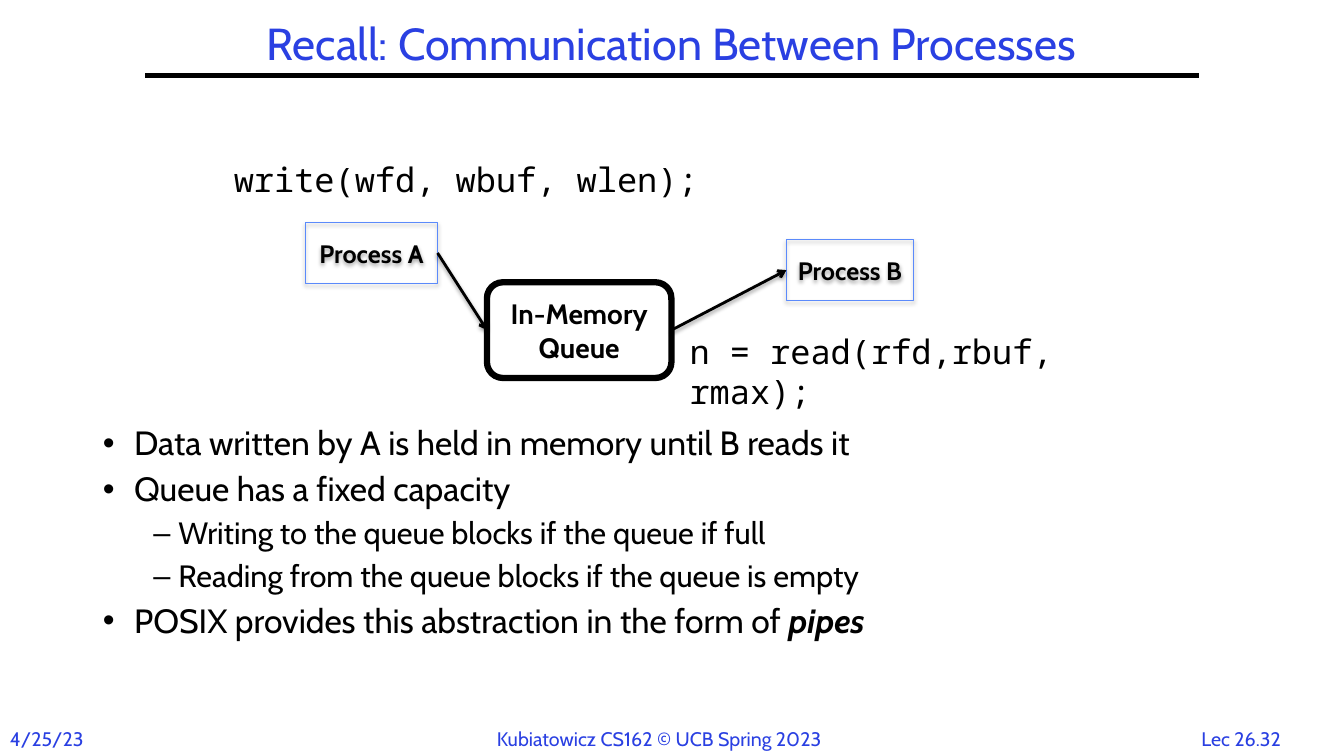
from lxml import etree
from pptx import Presentation
from pptx import util as u
from pptx.dml.color import RGBColor
from pptx.enum import shapes, text
from pptx.oxml.ns import qn

SANS, MONO = "Cabin", "Noto Sans Mono"
BLUE, BLACK, WHITE, OUTLINE = "2A40E2", "000000", "FFFFFF", "5B8AFB"
BULLETS = [
    (0, ["Data written by A is held in memory until B reads it"]),
    (0, ["Queue has a fixed capacity"]),
    (1, ["Writing to the queue blocks if the queue if full"]),
    (1, ["Reading from the queue blocks if the queue is empty"]),
    (0, ["POSIX provides this abstraction in the form of ", "pipes"]),
]
# bullet, size in points, left margin and hanging indent in inches
LEVELS = [("•", 24, 0.31, 0.31), ("–", 22, 0.75, 0.25)]


def color(value):
    return RGBColor.from_string(value)


def place(shape, left, top, width, height):
    shape.left, shape.top = u.Inches(left), u.Inches(top)
    shape.width, shape.height = u.Inches(width), u.Inches(height)


def style_font(font, size, name=SANS, fill=BLACK, bold=False):
    font.size, font.name, font.bold = u.Pt(size), name, bold
    font.color.rgb = color(fill)


def set_shadow(shape, opacity=None, distance=1.8):
    """Replace the theme shadow by none, or by a soft one straight below."""
    effects = etree.SubElement(shape._element.spPr, qn("a:effectLst"))
    if opacity:
        shadow = etree.SubElement(
            effects, qn("a:outerShdw"), blurRad=str(u.Pt(3.1)),
            dist=str(u.Pt(distance)), dir="5400000", rotWithShape="0")
        ink = etree.SubElement(shadow, qn("a:srgbClr"), val=BLACK)
        etree.SubElement(ink, qn("a:alpha"), val=str(opacity * 1000))


def add_text(slide, words, box, size, name=SANS, fill=BLACK, wrap=True,
             align=text.PP_ALIGN.LEFT):
    shape = slide.shapes.add_textbox(*map(u.Inches, box))
    frame = shape.text_frame
    frame.text, frame.word_wrap = words, wrap
    paragraph = frame.paragraphs[0]
    paragraph.alignment = align
    style_font(paragraph.runs[0].font, size, name, fill)


def add_node(slide, words, box, kind, size, line, width, fill=None, shadow=None):
    shape = slide.shapes.add_shape(kind, *map(u.Inches, box))
    if fill:
        shape.fill.solid()
        shape.fill.fore_color.rgb = color(fill)
    else:
        shape.fill.background()
    shape.line.color.rgb, shape.line.width = color(line), u.Pt(width)
    set_shadow(shape, shadow)
    frame = shape.text_frame
    frame.text, frame.word_wrap = words, True
    frame.vertical_anchor = text.MSO_ANCHOR.MIDDLE
    paragraph = frame.paragraphs[0]
    paragraph.alignment = text.PP_ALIGN.CENTER
    style_font(paragraph.runs[0].font, size, bold=True)
    return shape


def add_line(slide, start, end, width):
    line = slide.shapes.add_connector(
        shapes.MSO_CONNECTOR.STRAIGHT, *map(u.Inches, (*start, *end)))
    line.line.color.rgb, line.line.width = color(BLACK), u.Pt(width)
    return line


def add_arrow(slide, source, target):
    """Arrow from the right side of source to the left side of target."""
    arrow = add_line(slide, (0, 0), (1, 1), 2)
    arrow.begin_connect(source, 3)
    arrow.end_connect(target, 1)
    etree.SubElement(arrow.line._get_or_add_ln(), qn("a:tailEnd"), type="arrow")
    set_shadow(arrow, 38, 1.6)


def fill_title(title):
    place(title, 1.44, 0.17, 10.44, 0.58)
    frame = title.text_frame
    frame.text = "Recall: Communication Between Processes"
    frame.auto_size = text.MSO_AUTO_SIZE.NONE
    frame.vertical_anchor = text.MSO_ANCHOR.MIDDLE
    paragraph = frame.paragraphs[0]
    paragraph.alignment, paragraph.line_spacing = text.PP_ALIGN.CENTER, 0.9
    style_font(paragraph.runs[0].font, 32, fill=BLUE)


def fill_body(body):
    place(body, 0.92, 4.18, 11.5, 2.57)
    frame = body.text_frame
    frame.auto_size = text.MSO_AUTO_SIZE.NONE
    for index, (level, parts) in enumerate(BULLETS):
        paragraph = frame.paragraphs[0] if index == 0 else frame.add_paragraph()
        bullet, size, margin, hanging = LEVELS[level]
        paragraph.level = level
        properties = paragraph._p.get_or_add_pPr()
        properties.set("marL", str(u.Inches(margin)))
        properties.set("indent", str(-u.Inches(hanging)))
        etree.SubElement(properties, qn("a:buChar"), char=bullet)
        paragraph.line_spacing = 0.9
        paragraph.space_before = u.Pt(0.3 * size if index else 0)
        for part in parts:
            run = paragraph.add_run()
            run.text = part
            emphasis = part == "pipes"
            style_font(run.font, size, bold=emphasis)
            run.font.italic = emphasis


def add_footer(slide):
    left, center = text.PP_ALIGN.LEFT, text.PP_ALIGN.CENTER
    for words, box, align in [
        ("Lec 26.32", (11.77, 7.16, 1.08, 0.34), center),
        ("4/25/23", (0, 7.16, 1.1, 0.34), left),
        ("Kubiatowicz CS162 © UCB Spring 2023", (4.83, 7.16, 3.68, 0.34), left),
    ]:
        add_text(slide, words, box, 14, fill=BLUE, align=align)


def add_diagram(slide):
    add_text(slide, "write(wfd, wbuf, wlen);", (2.22, 1.53, 5.11, 0.5), 24, MONO)
    add_text(slide, "n = read(rfd,rbuf, rmax);", (6.74, 3.23, 5.05, 0.5), 24, MONO)
    rectangle = shapes.MSO_SHAPE.RECTANGLE
    writer = add_node(slide, "Process A", (3.03, 2.21, 1.31, 0.6), rectangle,
                      18, OUTLINE, 0.75, shadow=35)
    reader = add_node(slide, "Process B", (7.8, 2.38, 1.26, 0.6), rectangle,
                      18, OUTLINE, 0.75, shadow=35)
    queue = add_node(slide, "In-Memory Queue", (4.83, 2.8, 1.83, 0.95),
                     shapes.MSO_SHAPE.ROUNDED_RECTANGLE, 20, BLACK, 4.5, WHITE)
    add_arrow(slide, writer, queue)
    add_arrow(slide, queue, reader)


def main():
    presentation = Presentation()
    presentation.slide_width = u.Inches(13.33)
    presentation.slide_height = u.Inches(7.5)
    slide = presentation.slides.add_slide(presentation.slide_layouts[1])
    add_footer(slide)
    set_shadow(add_line(slide, (1.44, 0.75), (11.89, 0.75), 3))
    fill_title(slide.shapes.title)
    fill_body(slide.placeholders[1])
    add_diagram(slide)
    presentation.save("out.pptx")


if __name__ == "__main__":
    main()
